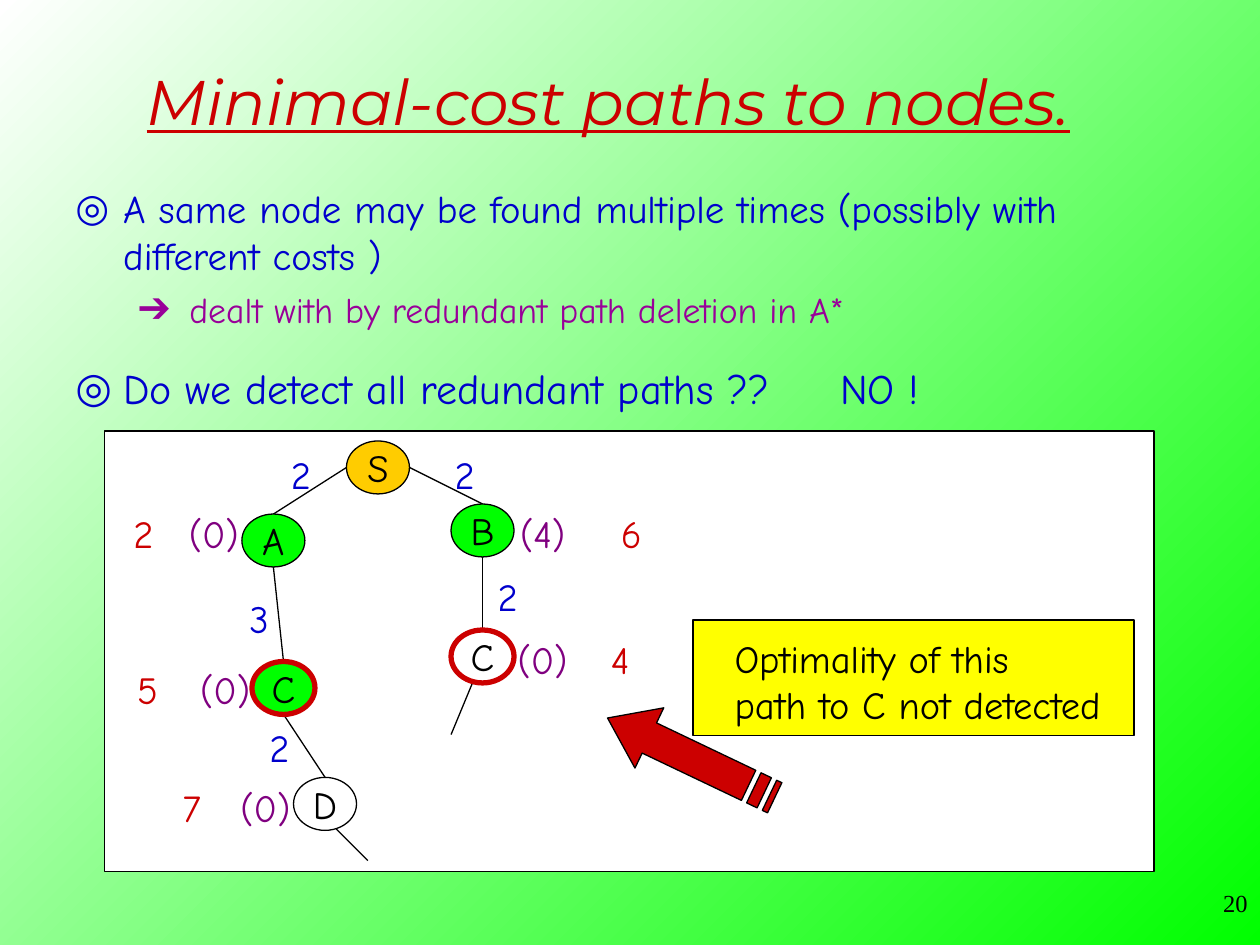
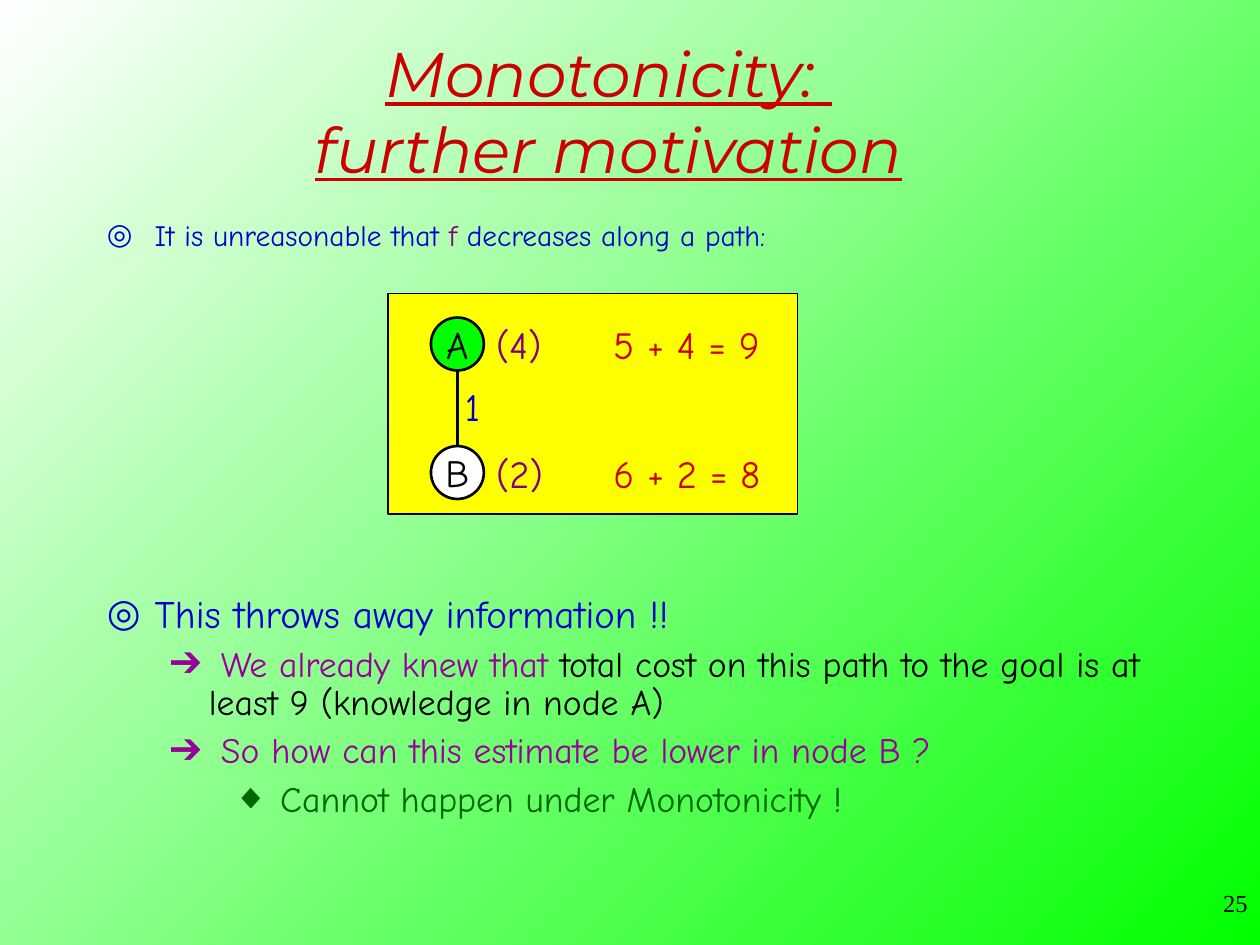
from lxml.etree import SubElement
from pptx import Presentation
from pptx.dml.color import RGBColor
from pptx.enum.shapes import MSO_CONNECTOR, MSO_SHAPE
from pptx.enum.text import MSO_ANCHOR, PP_ALIGN
from pptx.oxml.ns import qn
from pptx.util import Inches, Pt

RED = RGBColor(0xCC, 0x00, 0x00)
BLUE = RGBColor(0x00, 0x00, 0xCC)
PLUM = RGBColor(0x80, 0x00, 0x80)
PINK = RGBColor(0x99, 0x00, 0x99)
MOSS = RGBColor(0x00, 0x66, 0x00)
LIME = RGBColor(0x00, 0xFF, 0x00)
GOLD = RGBColor(0xFF, 0xCC, 0x00)
YELLOW = RGBColor(0xFF, 0xFF, 0x00)
WHITE = RGBColor(0xFF, 0xFF, 0xFF)
BLACK = RGBColor(0x00, 0x00, 0x00)

HAND = "Comic Neue"
SERIF = "Times New Roman"
TITLE = {"name": "Montserrat", "size": Pt(36), "italic": True, "underline": True}
NODE = {"name": HAND, "size": Pt(22)}
FOOT = {"name": SERIF, "size": Pt(14)}

# level: bullet, left margin, hanging indent, space before, colour
LEVELS = [
    ("◎", 0.38, 0.38, 6, BLUE),
    ("➔", 0.81, 0.31, 5.5, PINK),
    ("◆", 1.25, 0.25, 5.5, MOSS),
]
# characters in a label: width of its box
WIDTHS = {1: 0.42, 3: 0.7, 9: 1.55}


def apply(item, form):
    for key, value in form.items():
        setattr(item, key, value)


def ink(font, form, color):
    apply(font, form)
    font.color.rgb = color


def paint(shape, fill, line=BLACK, weight=0.75):
    shape.shadow.inherit = False
    shape.fill.solid()
    shape.fill.fore_color.rgb = fill
    shape.line.color.rgb = line
    shape.line.width = Pt(weight)
    return shape


def add_block(slide, kind, box, fill, line=BLACK, weight=0.75):
    shape = slide.shapes.add_shape(kind, *map(Inches, box))
    return paint(shape, fill, line, weight)


def add_box(slide, box):
    frame = slide.shapes.add_textbox(*map(Inches, box)).text_frame
    frame.word_wrap = True
    return frame


def add_label(slide, text, x, y, color):
    """Write a one-line label with its box corner at x, y."""
    frame = add_box(slide, (x, y, WIDTHS[len(text)], 0.47))
    frame.text = text
    ink(frame.paragraphs[0].font, NODE, color)


def add_node(slide, text, box, fill, line=BLACK, weight=0.75):
    frame = add_block(slide, MSO_SHAPE.OVAL, box, fill, line, weight).text_frame
    apply(frame, {"text": text, "word_wrap": False,
                  "vertical_anchor": MSO_ANCHOR.MIDDLE})
    frame.paragraphs[0].alignment = PP_ALIGN.CENTER
    ink(frame.paragraphs[0].font, NODE, BLACK)


def add_edge(slide, start, end, weight=0.75):
    edge = slide.shapes.add_connector(MSO_CONNECTOR.STRAIGHT,
                                      *map(Inches, start + end))
    edge.line.color.rgb = BLACK
    edge.line.width = Pt(weight)
    SubElement(edge._element.spPr, qn("a:effectLst"))


def add_mark(para, level, tab=None):
    """Give a paragraph the bullet and indent of its level."""
    mark, left, hang, _, color = LEVELS[level]
    props = para._p.get_or_add_pPr()
    props.set("marL", str(Inches(left)))
    props.set("indent", str(-Inches(hang)))
    tint = SubElement(props, qn("a:buClr"))
    SubElement(tint, qn("a:srgbClr"), val=str(color))
    SubElement(props, qn("a:buFont"), typeface=SERIF)
    SubElement(props, qn("a:buChar"), char=mark)
    if tab:
        tabs = SubElement(props, qn("a:tabLst"))
        SubElement(tabs, qn("a:tab"), pos=str(Inches(tab)), algn="l")


def add_list(slide, box, rows, pitch=1.0, tab=None):
    """Write rows of (level, size, (text, colour), ...) as bullets."""
    frame = add_box(slide, box)
    for i, (level, size, *runs) in enumerate(rows):
        para = frame.add_paragraph() if i else frame.paragraphs[0]
        add_mark(para, level, tab)
        para.line_spacing = pitch
        para.space_before = Pt(LEVELS[level][3] if i else 0)
        for text, color in runs:
            run = para.add_run()
            run.text = text
            ink(run.font, {"name": HAND, "size": Pt(size)}, color)


def add_page(deck, title, top, number):
    slide = deck.slides.add_slide(deck.slide_layouts[5])
    head = slide.shapes.title
    box = map(Inches, (0.58, top, 8.5, 1.25))
    apply(head, dict(zip(("left", "top", "width", "height"), box)))
    apply(head.text_frame, {"text": title, "word_wrap": True,
                            "vertical_anchor": MSO_ANCHOR.MIDDLE})
    para = head.text_frame.paragraphs[0]
    para.alignment = PP_ALIGN.CENTER
    ink(para.font, TITLE, RED)
    foot = add_box(slide, (7.92, 7, 2.08, 0.5))
    foot.text = number
    foot.paragraphs[0].alignment = PP_ALIGN.RIGHT
    ink(foot.paragraphs[0].font, FOOT, BLACK)
    return slide


def add_tree(slide, box):
    left, top = box[:2]
    add_block(slide, MSO_SHAPE.RECTANGLE, box, WHITE)
    wide, high = 0.5, 0.42
    nodes = [
        ("S", 1.92, 0.08, GOLD, BLACK, 0.75),
        ("A", 1.09, 0.66, LIME, BLACK, 0.75),
        ("C", 1.17, 1.83, LIME, RED, 3),
        ("D", 1.5, 2.75, WHITE, BLACK, 0.75),
        ("B", 2.75, 0.58, LIME, BLACK, 0.75),
        ("C", 2.75, 1.58, WHITE, RED, 3),
    ]
    spots = [(left + x, top + y) for _, x, y, *_ in nodes]
    tops = [(x + wide / 2, y) for x, y in spots]
    ends = [(x, y + high) for x, y in tops]
    root, mid = spots[0][0], spots[0][1] + high / 2
    edges = [
        ((root, mid), tops[1]),
        ((root + wide, mid), tops[4]),
        (ends[1], tops[2]),
        (ends[2], tops[3]),
        (ends[4], tops[5]),
        ((left + 1.84, top + 3.16), (left + 2.09, top + 3.41)),
        ((left + 2.92, top + 2), (left + 2.75, top + 2.41)),
    ]
    for start, end in edges:
        add_edge(slide, start, end)
    for (name, _, _, *look), spot in zip(nodes, spots):
        add_node(slide, name, (*spot, wide, high), *look)
    labels = {
        BLUE: [("2", 1.38, 0.11), ("2", 2.68, 0.11), ("3", 1.05, 1.25),
               ("2", 1.21, 2.28), ("2", 3.02, 1.08)],
        PLUM: [("(0)", 0.57, 0.58), ("(4)", 3.2, 0.58), ("(0)", 0.66, 1.82),
               ("(0)", 0.98, 2.75), ("(0)", 3.18, 1.58)],
        RED: [("2", 0.13, 0.58), ("6", 4, 0.58), ("5", 0.16, 1.82),
              ("7", 0.52, 2.75), ("4", 3.92, 1.58)],
    }
    for color, group in labels.items():
        for text, x, y in group:
            add_label(slide, text, left + x, top + y, color)


def add_note(slide, box):
    frame = add_block(slide, MSO_SHAPE.RECTANGLE, box, YELLOW).text_frame
    apply(frame, {"text": "Optimality of this\npath to C not detected",
                  "word_wrap": False, "vertical_anchor": MSO_ANCHOR.TOP,
                  "margin_left": Inches(0.33), "margin_top": Inches(0.12)})
    for para in frame.paragraphs:
        para.alignment = PP_ALIGN.LEFT
        ink(para.font, NODE, BLACK)


def add_arrow(slide, box, turn):
    """Draw a striped arrow on a grid of 32 by 4 units, then turn it."""
    left, top, wide, high = map(Inches, box)
    parts = [
        [(0, 1), (1, 1), (1, 3), (0, 3)],
        [(2, 1), (4, 1), (4, 3), (2, 3)],
        [(5, 1), (24, 1), (24, 0), (32, 2), (24, 4), (24, 3), (5, 3)],
    ]
    pen = slide.shapes.build_freeform(*parts[0][0], scale=(wide / 32, high / 4))
    for part in parts:
        pen.move_to(*part[0])
        pen.add_line_segments(part[1:], close=True)
    arrow = paint(pen.convert_to_shape(left, top), RED)
    arrow.rotation = turn


def add_pair(slide, box):
    """Show two linked nodes with their estimates and totals."""
    left, top = box[:2]
    add_block(slide, MSO_SHAPE.RECTANGLE, box, YELLOW)
    size, step = 0.42, 1.02
    mid, first = left + 0.55, top + 0.19
    add_edge(slide, (mid, first + size), (mid, first + step), 1.5)
    rows = [("A", LIME, "(4)", "5 + 4 = 9"), ("B", WHITE, "(2)", "6 + 2 = 8")]
    for i, (name, fill, guess, total) in enumerate(rows):
        y = first + i * step
        add_node(slide, name, (mid - size / 2, y, size, size), fill, BLACK, 1.5)
        add_label(slide, guess, left + 0.76, y - 0.02, PLUM)
        add_label(slide, total, left + 1.69, y - 0.02, RED)
    add_label(slide, "1", left + 0.51, top + 0.66, BLUE)


def add_paths(deck):
    slide = add_page(deck, "Minimal-cost paths to nodes.", 0.17, "20")
    add_list(slide, (0.5, 1.42, 8.67, 1.25), [
        (0, 22.2, ("A same node may be found multiple times "
                   "(possibly with different costs )", BLUE)),
        (1, 20.4, (" dealt with by redundant path deletion in A*", PINK)),
    ])
    add_list(slide, (0.5, 2.83, 8.67, 0.58), [
        (0, 24, ("Do we detect all redundant paths ??\tNO !", BLUE)),
    ], tab=6.07)
    add_tree(slide, (0.83, 3.42, 8.33, 3.5))
    add_note(slide, (5.5, 4.92, 3.5, 0.92))
    add_arrow(slide, (4.75, 5.75, 1.47, 0.53), 205.5)


def add_motive(deck):
    slide = add_page(deck, "Monotonicity: \vfurther motivation", 0.25, "25")
    add_list(slide, (0.75, 1.67, 8.67, 0.42), [
        (0, 16.8, ("It is unreasonable that ", BLUE), ("f", PLUM),
         (" decreases along a path:", BLUE)),
    ])
    add_pair(slide, (3.08, 2.33, 3.25, 1.75))
    add_list(slide, (0.75, 4.67, 8.67, 2.17), [
        (0, 22.2, ("This throws away information !!", BLUE)),
        (1, 20.4, (" We already knew that ", PINK),
         ("total cost on this path to the goal is at least 9 "
          "(knowledge in node A)", BLACK)),
        (1, 20.4, (" So how can this estimate be lower in node B ?", PINK)),
        (2, 20.4, (" Cannot happen under Monotonicity !", MOSS)),
    ], pitch=0.9)


def main():
    deck = Presentation()
    apply(deck, {"slide_width": Inches(10), "slide_height": Inches(7.5)})
    back = deck.slide_master.background.fill
    back.gradient()
    back.gradient_angle = 135
    for stop, color in zip(back.gradient_stops, (LIME, WHITE)):
        stop.color.rgb = color
    add_paths(deck)
    add_motive(deck)
    deck.save("out.pptx")


if __name__ == "__main__":
    main()
